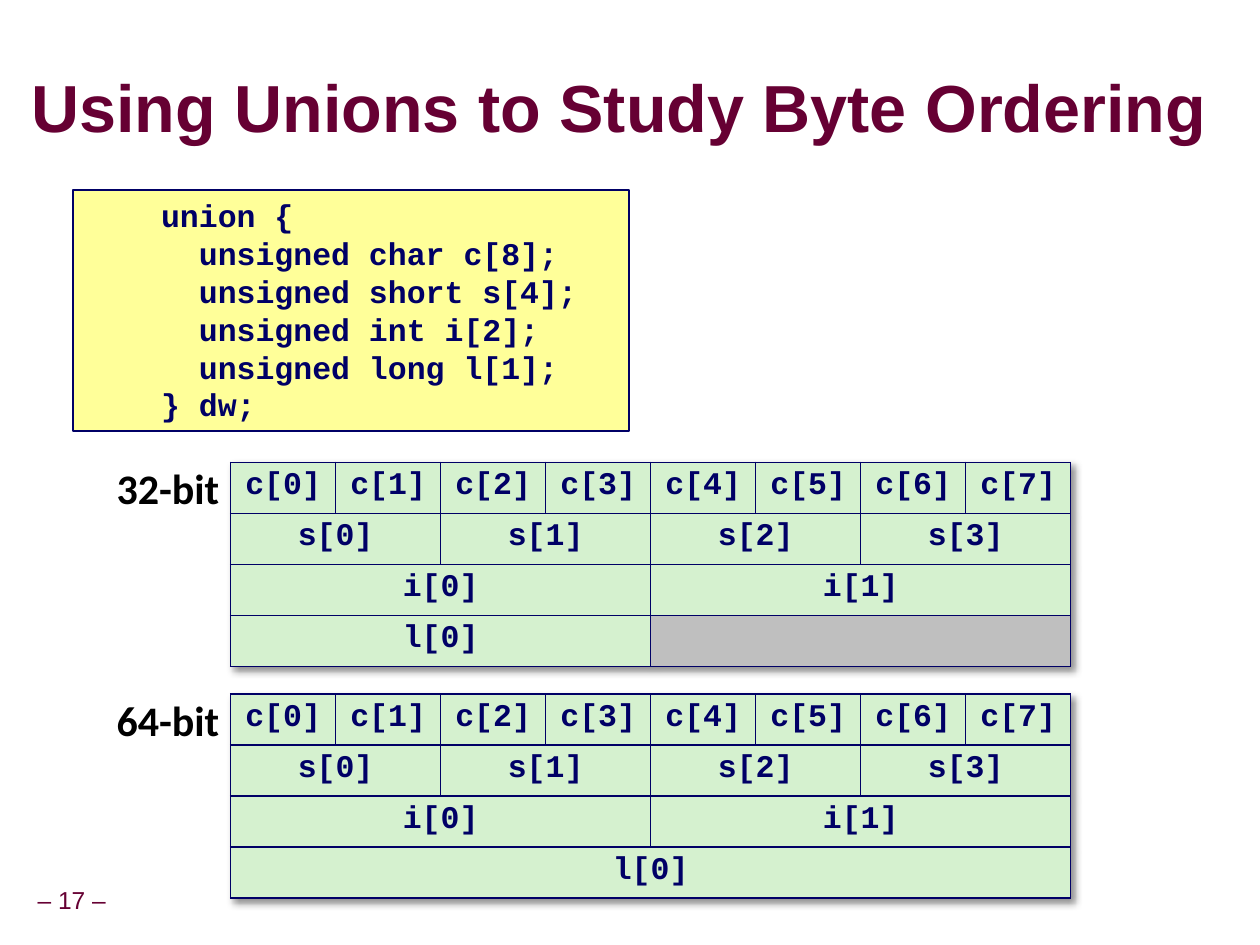
from lxml.etree import SubElement
from pptx import Presentation
from pptx.dml.color import RGBColor
from pptx.enum.shapes import MSO_SHAPE
from pptx.enum.text import MSO_ANCHOR, MSO_AUTO_SIZE, PP_ALIGN
from pptx.oxml import parse_xml
from pptx.oxml.ns import nsdecls, qn
from pptx.util import Inches, Pt

MAROON = RGBColor(0x66, 0x00, 0x33)
NAVY = RGBColor(0x00, 0x00, 0x66)
BLACK = RGBColor(0x00, 0x00, 0x00)
YELLOW = RGBColor(0xFF, 0xFF, 0x99)
GREEN = RGBColor(0xD5, 0xF1, 0xCF)
GRAY = RGBColor(0xBF, 0xBF, 0xBF)

TITLE = "Using Unions to Study Byte Ordering"
PAGE = "– 17 –"
CODE = """\
    union {
      unsigned char c[8];
      unsigned short s[4];
      unsigned int i[2];
      unsigned long l[1];
    } dw;"""

# Each row: member name, number of elements, bytes per element
COMMON_ROWS = [("c", 8, 1), ("s", 4, 2), ("i", 2, 4)]
LAYOUTS = [
    ("32-bit", 3.67, COMMON_ROWS + [("l", 1, 4)]),
    ("64-bit", 5.51, COMMON_ROWS + [("l", 1, 8)]),
]
BYTES = 8
TABLE_LEFT, TABLE_WIDTH, TABLE_HEIGHT = 1.83, 6.67, 1.62

TITLE_FONT = {"name": "Arial", "size": Pt(38), "bold": True}
PAGE_FONT = {"name": "Arial", "size": Pt(14), "bold": False}
CODE_FONT = {"name": "Courier New", "size": Pt(18), "bold": True}
LABEL_FONT = {"name": "Calibri", "size": Pt(24), "bold": True}


def write(frame, text, font, color, align=PP_ALIGN.LEFT, spacing=0.9):
    frame.text = text
    for paragraph in frame.paragraphs:
        paragraph.alignment = align
        paragraph.line_spacing = spacing
        paragraph.space_before = Pt(0)
        for run in paragraph.runs:
            for name, value in font.items():
                setattr(run.font, name, value)
            run.font.color.rgb = color


def set_margins(frame, margin):
    for side in ("left", "right", "top", "bottom"):
        setattr(frame, f"margin_{side}", Inches(margin))


def shadow_effect(blur, distance):
    return parse_xml(
        f'<a:effectLst {nsdecls("a")}><a:outerShdw blurRad="{Pt(blur)}" '
        f'dist="{Pt(distance)}" dir="2700000" algn="tl" rotWithShape="0">'
        '<a:srgbClr val="000000"><a:alpha val="43000"/></a:srgbClr>'
        '</a:outerShdw></a:effectLst>')


def style_cell(cell, color):
    """Fill the cell and draw a thin navy line on all four sides."""
    properties = cell._tc.get_or_add_tcPr()
    for side in ("a:lnL", "a:lnR", "a:lnT", "a:lnB"):
        line = SubElement(properties, qn(side), w=str(Pt(1)))
        fill = SubElement(line, qn("a:solidFill"))
        SubElement(fill, qn("a:srgbClr"), val=str(NAVY))
    cell.fill.solid()
    cell.fill.fore_color.rgb = color


def add_text_box(slide, box, text, font, color, align):
    shape = slide.shapes.add_textbox(*map(Inches, box))
    frame = shape.text_frame
    frame.word_wrap = False
    write(frame, text, font, color, align)
    return frame


def add_title(slide):
    title = slide.shapes.title
    title.left, title.top, title.width, title.height = map(
        Inches, (0.25, 0.57, 9.42, 0.63))
    frame = title.text_frame
    frame.auto_size = MSO_AUTO_SIZE.NONE
    frame.vertical_anchor = MSO_ANCHOR.MIDDLE
    set_margins(frame, 0)
    write(frame, TITLE, TITLE_FONT, MAROON, spacing=0.87)
    properties = frame.paragraphs[0].runs[0]._r.get_or_add_rPr()
    properties.find(qn("a:solidFill")).addnext(shadow_effect(4, 4))


def add_code(slide):
    box = slide.shapes.add_shape(
        MSO_SHAPE.RECTANGLE, *map(Inches, (0.58, 1.51, 4.41, 1.91)))
    box.shadow.inherit = False
    box.fill.solid()
    box.fill.fore_color.rgb = YELLOW
    box.line.color.rgb = NAVY
    box.line.width = Pt(1)
    box.text_frame.vertical_anchor = MSO_ANCHOR.TOP
    write(box.text_frame, CODE, CODE_FONT, NAVY, spacing=1.0)


def add_byte_table(slide, top, rows):
    table = slide.shapes.add_table(
        len(rows), BYTES, Inches(TABLE_LEFT), Inches(top),
        Inches(TABLE_WIDTH), Inches(TABLE_HEIGHT)).table
    table.first_row = table.horz_banding = False
    table._tbl.tblPr.insert(0, shadow_effect(4, 3))
    for row, (member, count, size) in enumerate(rows):
        for column in range(BYTES):
            used = column < count * size
            style_cell(table.cell(row, column), GREEN if used else GRAY)
        for start in range(0, BYTES, size):
            cell = table.cell(row, start)
            if size > 1:
                cell.merge(table.cell(row, start + size - 1))
            index = start // size
            text = f"{member}[{index}]" if index < count else ""
            write(cell.text_frame, text, CODE_FONT, NAVY, PP_ALIGN.CENTER)


def main():
    presentation = Presentation()
    presentation.slide_width = Inches(10)
    presentation.slide_height = Inches(7.5)
    slide = presentation.slides.add_slide(presentation.slide_layouts[5])

    page = add_text_box(slide, (0.24, 7, 0.66, 0.31), PAGE, PAGE_FONT,
                        MAROON, PP_ALIGN.CENTER)
    set_margins(page, 0.05)
    page.vertical_anchor = MSO_ANCHOR.MIDDLE
    add_title(slide)
    add_code(slide)
    for label, top, rows in LAYOUTS:
        add_byte_table(slide, top, rows)
        add_text_box(slide, (0.81, top, 1.03, 0.5), label, LABEL_FONT,
                     BLACK, PP_ALIGN.RIGHT)
    presentation.save("out.pptx")


if __name__ == "__main__":
    main()
